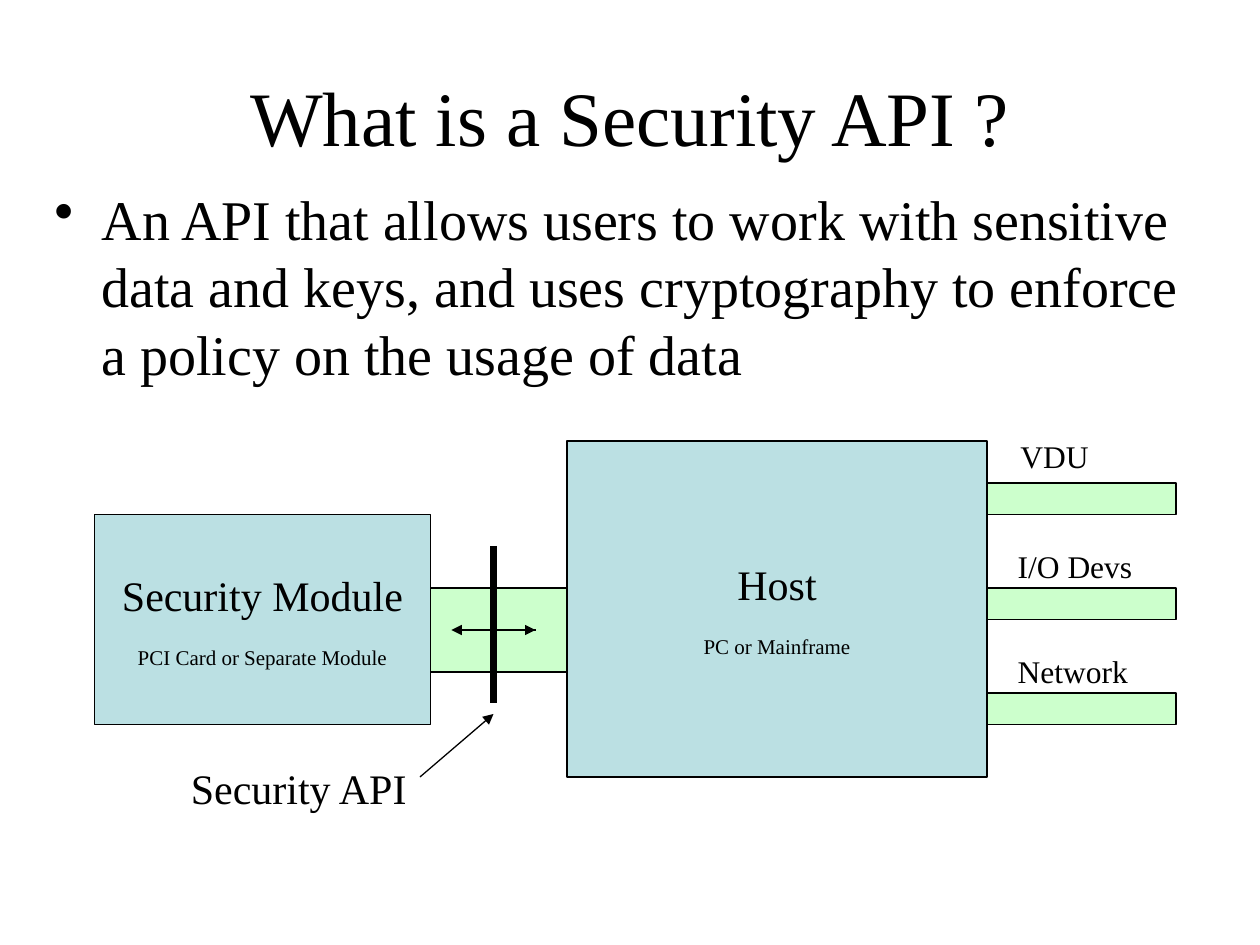
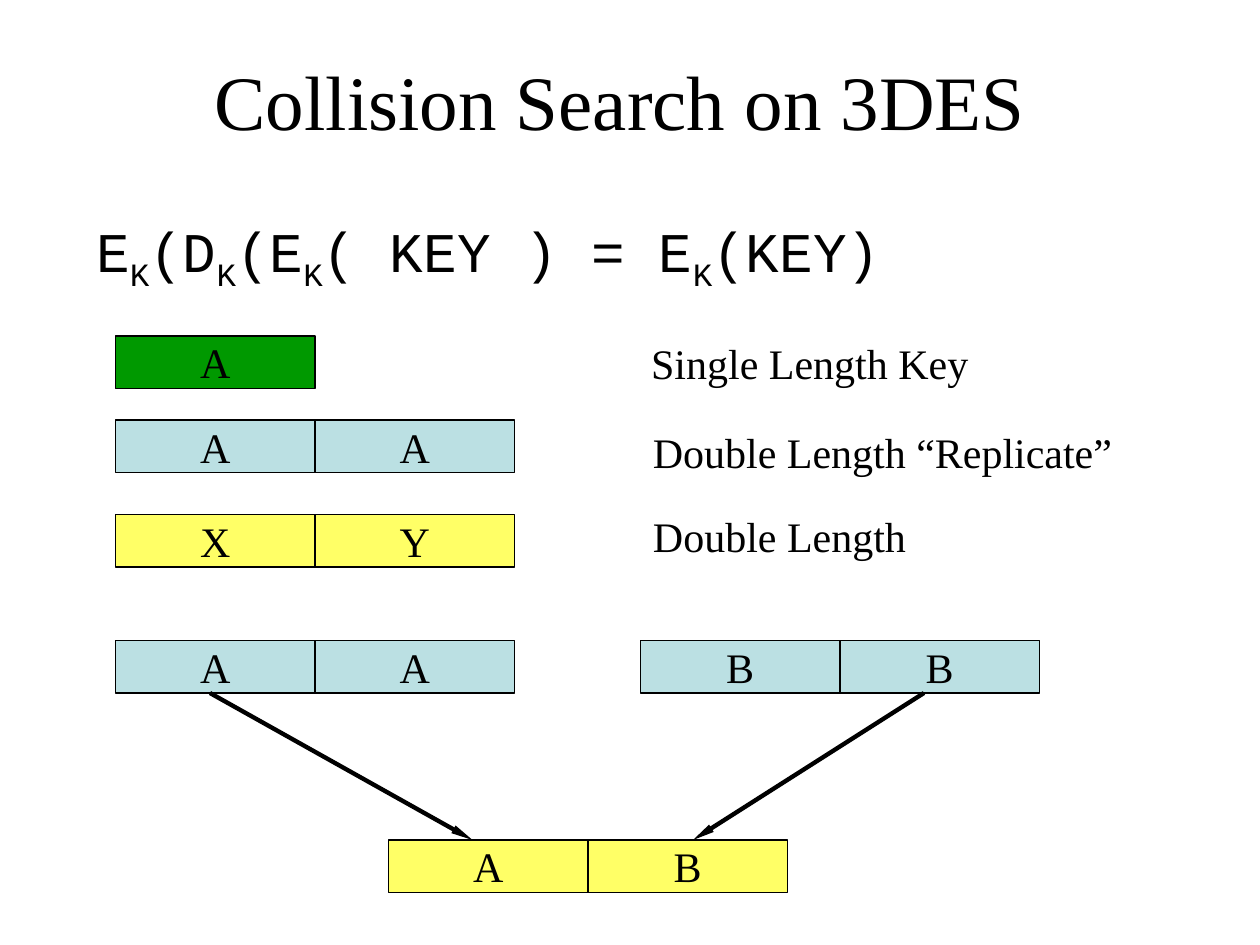
from lxml import etree
from pptx import Presentation
from pptx.dml.color import RGBColor
from pptx.enum import shapes, text
from pptx.oxml.ns import qn
from pptx.util import Pt

COLOURS = {"ink": "000000", "blue": "BBE0E3", "mint": "CCFFCC",
           "yellow": "FFFF66", "green": "009900"}
SERIF, MONO = "Times New Roman", "Courier New"
HAIRLINE = 0.75
PLAIN_HEAD = {"type": "triangle"}
SLIM_HEAD = {"type": "triangle", "w": "sm", "len": "lg"}

# Boxes are (left, top, width, height); lines are (x1, y1, x2, y2).
API_TITLE = "What is a Security API ?", (54, 36, 612, 60)
API_DEFINITION = ("An API that allows users to work with sensitive data and keys, "
                  "and uses cryptography to enforce a policy on the usage of data")
MACHINES = [
    ("Host", "PC or Mainframe", (324, 252, 240, 192)),
    ("Security Module", "PCI Card or Separate Module", (54, 294, 192, 120)),
]
BUS = (246, 336, 78, 48)
API_BAR = (282, 312, 282, 402)
API_ARROWS = [(240, 444, 282, 408), (306, 360, 258, 360), (264, 360, 306, 360)]
API_LABEL = "Security API", (102, 432, 139, 36)
PORTS = [("VDU", (576, 246, 53.5, 29)), ("I/O Devs", (574.5, 309, 80, 29)),
         ("Network", (574.5, 369, 77.5, 29))]
PORT_LEFT, PORT_TOP, PORT_STEP = 564, 276, 60

KEY_TITLE = "Collision Search on 3DES ", (18, 12, 684, 90)
# Each base is followed by its subscript
FORMULA = [("E", "K"), ("(D", "K"), ("(E", "K"), ("( KEY ) = E", "K"), ("(KEY)", "")]
KEY_WIDTH, KEY_HEIGHT = 114, 30
KEYS = [  # halves, colour, left, top
    ("A", "green", 66, 192),
    ("AA", "blue", 66, 240),
    ("XY", "yellow", 66, 294),
    ("AA", "blue", 66, 366),
    ("BB", "blue", 366, 366),
    ("AB", "yellow", 222, 480),
]
KEY_KINDS = [("Single Length Key", (365, 189.5, 196, 36)),
             ("Double Length “Replicate”", (366, 240, 277, 36)),
             ("Double Length", (366, 288, 159, 36))]
KEY_ARROWS = [(120, 396, 270, 480), (528, 396, 396, 480)]


def colour(name):
    return RGBColor.from_string(COLOURS[name])


def points(lengths):
    return [Pt(length) for length in lengths]


def set_font(para, size, name=SERIF):
    para.font.size, para.font.name = Pt(size), name
    para.font.color.rgb = colour("ink")


def add_titled_slide(deck, title, place):
    page = deck.slides.add_slide(deck.slide_layouts[5])
    box = page.shapes.title
    box.left, box.top, box.width, box.height = points(place)
    frame = box.text_frame
    frame.text = title
    frame.auto_size = text.MSO_AUTO_SIZE.NONE
    frame.vertical_anchor = text.MSO_ANCHOR.MIDDLE
    frame.paragraphs[0].alignment = text.PP_ALIGN.CENTER
    set_font(frame.paragraphs[0], 44)
    return page


def add_block(page, place, fill, lines=()):
    """Draw an outlined rectangle with centred (text, size, space before) lines."""
    block = page.shapes.add_shape(shapes.MSO_SHAPE.RECTANGLE, *points(place))
    block.shadow.inherit = False
    block.fill.solid()
    block.fill.fore_color.rgb = colour(fill)
    block.line.color.rgb = colour("ink")
    block.line.width = Pt(HAIRLINE)
    frame = block.text_frame
    frame.word_wrap = False
    frame.vertical_anchor = text.MSO_ANCHOR.MIDDLE
    for index, (words, size, gap) in enumerate(lines):
        para = frame.add_paragraph() if index else frame.paragraphs[0]
        para.text = words
        para.alignment = text.PP_ALIGN.CENTER
        if gap:
            para.space_before = Pt(gap)
        set_font(para, size)


def add_label(page, words, place, size):
    """Add one line of text in a box that grows to fit it."""
    frame = page.shapes.add_textbox(*points(place)).text_frame
    frame.word_wrap = False
    frame.auto_size = text.MSO_AUTO_SIZE.SHAPE_TO_FIT_TEXT
    frame.text = words
    set_font(frame.paragraphs[0], size)


def add_body(page, place):
    """Add a wrapping text box and return its first paragraph."""
    frame = page.shapes.add_textbox(*points(place)).text_frame
    frame.word_wrap = True
    return frame.paragraphs[0]


def add_bullet(para, indent):
    props = para._p.get_or_add_pPr()
    props.set("marL", str(Pt(indent)))
    props.set("indent", str(-Pt(indent)))
    etree.SubElement(props, qn("a:buChar"), char="•")


def add_line(page, ends, width=HAIRLINE, head=None):
    line = page.shapes.add_connector(shapes.MSO_CONNECTOR.STRAIGHT, *points(ends))
    line.line.color.rgb = colour("ink")
    line.line.width = Pt(width)
    if head:
        etree.SubElement(line.line._get_or_add_ln(), qn("a:tailEnd"), head)
    etree.SubElement(line._element.spPr, qn("a:effectLst"))


def build_api_slide(deck):
    page = add_titled_slide(deck, *API_TITLE)
    para = add_body(page, (24, 102, 678, 378))
    para.text = API_DEFINITION
    add_bullet(para, 27)
    set_font(para, 32)

    for name, kind, place in MACHINES:
        add_block(page, place, "blue", [(name, 24, 0), (kind, 12, 14)])
    add_block(page, BUS, "mint")
    add_line(page, API_BAR, 4.5)
    for ends in API_ARROWS:
        add_line(page, ends, head=PLAIN_HEAD)
    add_label(page, *API_LABEL, 24)
    for index, (name, place) in enumerate(PORTS):
        add_block(page, (PORT_LEFT, PORT_TOP + index * PORT_STEP, 108, 18), "mint")
        add_label(page, name, place, 18)


def build_key_slide(deck):
    page = add_titled_slide(deck, *KEY_TITLE)
    para = add_body(page, (48, 120, 612, 354))
    for base, subscript in FORMULA:
        para.add_run().text = base
        if subscript:
            span = para.add_run()
            span.text = subscript
            span.font._element.set("baseline", "-25000")
    set_font(para, 32, MONO)

    for halves, fill, left, top in KEYS:
        for index, half in enumerate(halves):
            place = (left + index * KEY_WIDTH, top, KEY_WIDTH, KEY_HEIGHT)
            add_block(page, place, fill, [(half, 24, 0)])
    for words, place in KEY_KINDS:
        add_label(page, words, place, 24)
    for ends in KEY_ARROWS:
        add_line(page, ends, 2.5, SLIM_HEAD)


def main():
    deck = Presentation()
    deck.slide_width, deck.slide_height = Pt(720), Pt(540)
    build_api_slide(deck)
    build_key_slide(deck)
    deck.save("out.pptx")


if __name__ == "__main__":
    main()
